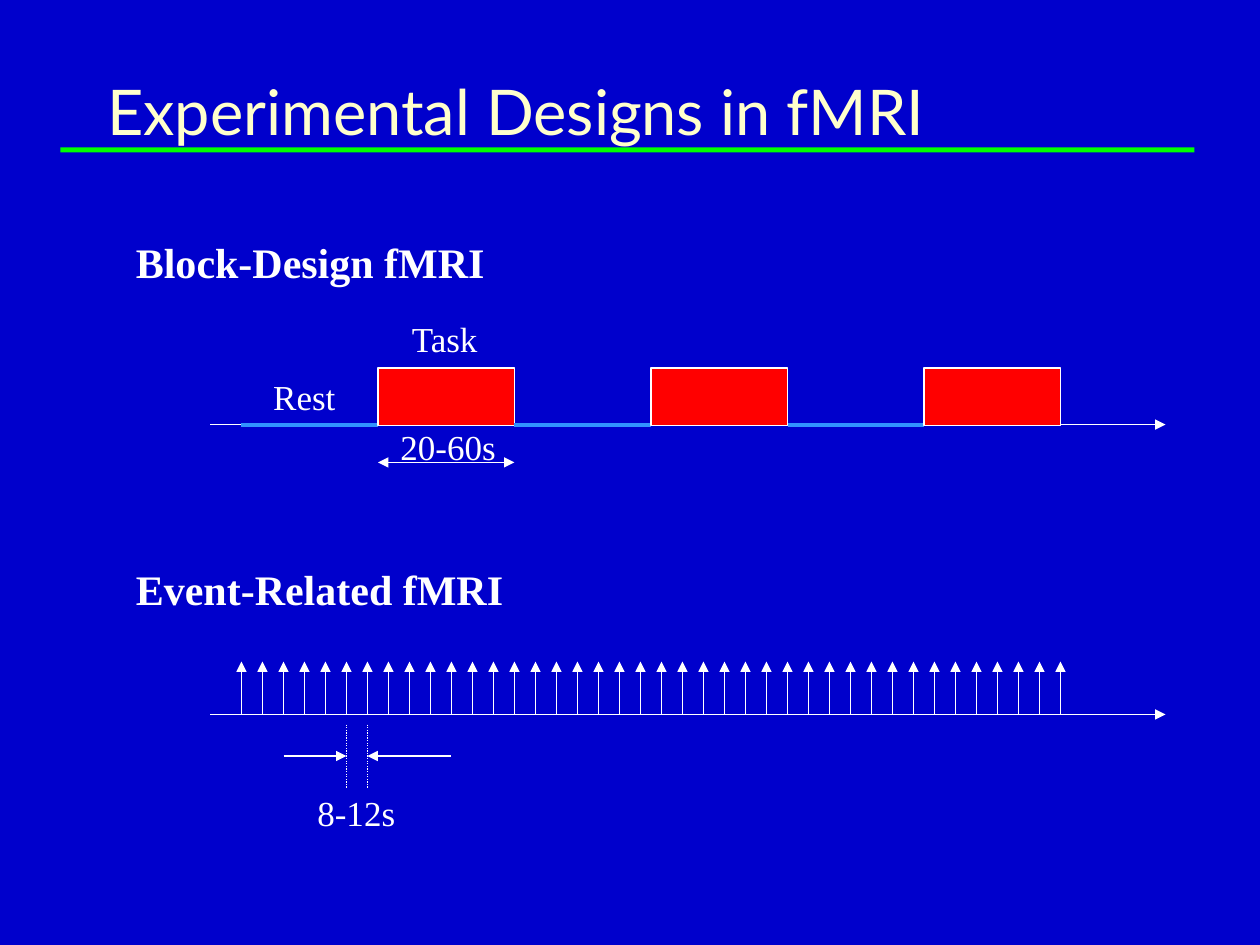
"""Build a slide comparing block-design and event-related fMRI timelines."""
from pptx import Presentation
from pptx.dml.color import RGBColor
from pptx.enum.dml import MSO_LINE
from pptx.enum.shapes import MSO_CONNECTOR, MSO_SHAPE
from pptx.enum.text import MSO_ANCHOR, MSO_AUTO_SIZE, PP_ALIGN
from pptx.oxml.ns import qn
from pptx.util import Inches, Pt
from lxml.etree import SubElement

rgb = RGBColor.from_string
WHITE, RED, BLUE, GREEN, CREAM = "FFFFFF", "FF0000", "3193FF", "00FF00", "FFFFCC"

prs = Presentation()
prs.slide_width, prs.slide_height = Inches(10), Inches(7.5)
slide = prs.slides.add_slide(prs.slide_layouts[5])
slide.background.fill.solid()
slide.background.fill.fore_color.rgb = rgb("0000CC")


def add_line(x1, y1, x2, y2, color=WHITE, width=0.75, dash=None, arrows=()):
    line = slide.shapes.add_connector(
        MSO_CONNECTOR.STRAIGHT, Inches(x1), Inches(y1), Inches(x2), Inches(y2))
    line.line.color.rgb = rgb(color)
    line.line.width = Pt(width)
    if dash:
        line.line.dash_style = dash
    for end in arrows:
        SubElement(line.line._get_or_add_ln(), qn(f"a:{end}"), type="triangle")
    SubElement(line._element.spPr, qn("a:effectLst"))


def add_label(text, left, top, width, height, size, bold=False):
    label = slide.shapes.add_textbox(Inches(left), Inches(top), Inches(width), Inches(height))
    frame = label.text_frame
    frame.text = text
    frame.word_wrap = False
    frame.auto_size = MSO_AUTO_SIZE.SHAPE_TO_FIT_TEXT
    font = frame.paragraphs[0].runs[0].font
    font.name, font.size, font.bold = "Times New Roman", Pt(size), bold
    font.color.rgb = rgb(WHITE)


underline = slide.shapes.add_shape(
    MSO_SHAPE.RECTANGLE, Inches(0.48), Inches(1.17), Inches(9), Inches(0.04))
underline.shadow.inherit = False
underline.fill.solid()
underline.fill.fore_color.rgb = rgb(GREEN)
underline.line.fill.background()

title = slide.shapes.title
title.left, title.top = Inches(0.75), Inches(0.25)
title.width, title.height = Inches(8.5), Inches(1.25)
heading = title.text_frame
heading.text = "Experimental Designs in fMRI"
heading.vertical_anchor = MSO_ANCHOR.MIDDLE
heading.auto_size = MSO_AUTO_SIZE.NONE
heading.paragraphs[0].alignment = PP_ALIGN.LEFT
title_font = heading.paragraphs[0].runs[0].font
title_font.name, title_font.size = "Lato", Pt(36)
title_font.color.rgb = rgb(CREAM)

axis_left, axis_right = 1.67, 9.25
block_axis, event_axis = 3.37, 5.67
start = 23 / 12
phase = 6.5 / 6
event_gap = 1 / 6

add_label("Block-Design fMRI", 0.98, 1.83, 3.02, 0.5, 24, True)
add_line(axis_left, block_axis, axis_right, block_axis, arrows=["tailEnd"])
for cycle in range(3):
    rest_start = start + 2 * cycle * phase
    task_start = rest_start + phase
    add_line(rest_start, block_axis, task_start, block_axis, BLUE, 2.25)
    task = slide.shapes.add_shape(
        MSO_SHAPE.RECTANGLE, Inches(task_start), Inches(2.92), Inches(phase), Inches(0.46))
    task.shadow.inherit = False
    task.fill.solid()
    task.fill.fore_color.rgb = rgb(RED)
    task.line.color.rgb = rgb(WHITE)
    task.line.width = Pt(0.75)
add_label("Rest", 2.07, 2.93, 0.74, 0.44, 20)
add_label("Task", 3.17, 2.47, 0.78, 0.44, 20)
add_line(start + phase, 3.67, start + 2 * phase, 3.67, arrows=["headEnd", "tailEnd"])
add_label("20-60s", 3.08, 3.33, 1, 0.44, 20)

add_label("Event-Related fMRI", 0.98, 4.42, 3.17, 0.5, 24, True)
add_line(axis_left, event_axis, axis_right, event_axis, arrows=["tailEnd"])
for event in range(40):
    event_x = start + event * event_gap
    add_line(event_x, event_axis, event_x, 5.25, arrows=["tailEnd"])

gap_start = start + 5 * event_gap
gap_end = gap_start + event_gap
add_line(2.25, 6, gap_start, 6, arrows=["tailEnd"])
add_line(3.58, 6, gap_end, 6, arrows=["tailEnd"])
for gap_edge in (gap_start, gap_end):
    add_line(gap_edge, 5.75, gap_edge, 6.25, dash=MSO_LINE.ROUND_DOT)
add_label("8-12s", 2.42, 6.23, 0.86, 0.44, 20)

prs.save("out.pptx")
